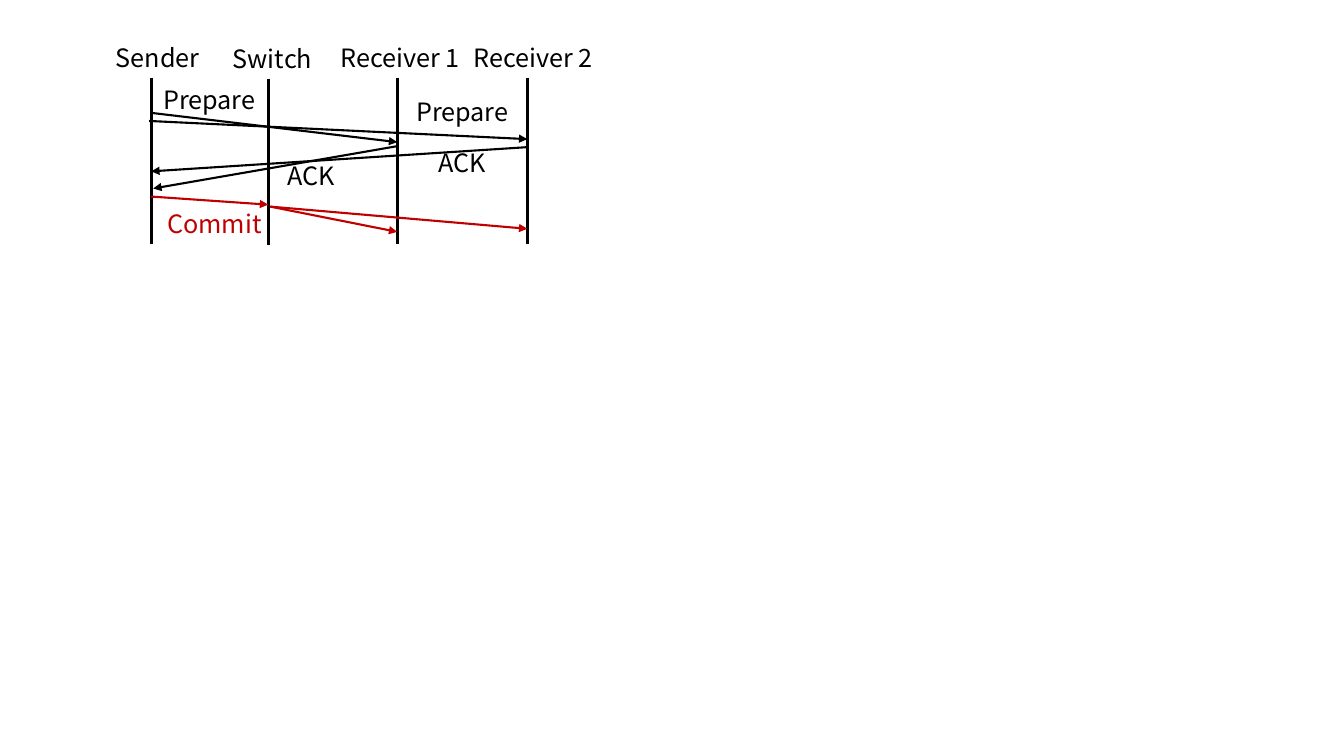
from lxml import etree
from pptx import Presentation
from pptx.dml.color import RGBColor
from pptx.enum.shapes import MSO_CONNECTOR
from pptx.enum.text import MSO_AUTO_SIZE
from pptx.oxml.ns import qn
from pptx.util import Inches, Pt

STRAIGHT = MSO_CONNECTOR.STRAIGHT
FIT_TEXT = MSO_AUTO_SIZE.SHAPE_TO_FIT_TEXT
FONT = "Noto Sans CJK SC"
BLACK = "000000"
RED = "C00000"
LIFELINE_LENGTH = 1.65
LABEL_HEIGHT = 0.4

PARTICIPANTS = [
    ("Sender", 1.05, 1.5, 0.77),
    ("Receiver 1", 3.28, 3.94, 0.77),
    ("Receiver 2", 4.6, 5.23, 0.77),
    ("Switch", 2.21, 2.66, 0.78),
]
MESSAGES = [
    ((1.5, 1.12), (3.94, 1.41), BLACK),
    ((1.48, 1.2), (5.23, 1.38), BLACK),
    ((3.94, 1.45), (1.52, 1.87), BLACK),
    ((5.23, 1.46), (1.5, 1.7), BLACK),
    ((1.5, 1.95), (2.66, 2.03), RED),
    ((2.68, 2.05), (3.94, 2.3), RED),
    ((2.68, 2.05), (5.23, 2.27), RED),
]
MESSAGE_LABELS = [
    ("Prepare", 4.03, 0.91, BLACK),
    ("Prepare", 1.52, 0.79, BLACK),
    ("ACK", 2.75, 1.54, BLACK),
    ("ACK", 4.25, 1.41, BLACK),
    ("Commit", 1.56, 2.02, RED),
]


def rgb(color):
    return RGBColor.from_string(color)


def add_line(slide, start, end, color, weight):
    points = [Inches(value) for value in (*start, *end)]
    line = slide.shapes.add_connector(STRAIGHT, *points)
    line.line.color.rgb = rgb(color)
    line.line.width = Pt(weight)
    etree.SubElement(line._element.spPr, qn("a:effectLst"))
    return line


def add_message(slide, start, end, color):
    message = add_line(slide, start, end, color, 1.5)
    outline = message.line._get_or_add_ln()
    etree.SubElement(outline, qn("a:tailEnd"), type="triangle")


def add_label(slide, text, left, top, width, color):
    label = slide.shapes.add_textbox(
        Inches(left), Inches(top), Inches(width), Inches(LABEL_HEIGHT))
    frame = label.text_frame
    frame.word_wrap = True
    frame.auto_size = FIT_TEXT
    frame.text = text
    font = frame.paragraphs[0].runs[0].font
    font.name = FONT
    font.size = Pt(18)
    font.color.rgb = rgb(color)


def add_participant(slide, name, label_left, x, top):
    add_line(slide, (x, top), (x, top + LIFELINE_LENGTH), BLACK, 2.25)
    add_label(slide, name, label_left, top - LABEL_HEIGHT, 1.48, BLACK)


def main():
    deck = Presentation()
    deck.slide_width = Inches(13.33)
    deck.slide_height = Inches(7.5)
    slide = deck.slides.add_slide(deck.slide_layouts[6])
    for participant in PARTICIPANTS:
        add_participant(slide, *participant)
    for message in MESSAGES:
        add_message(slide, *message)
    for text, left, top, color in MESSAGE_LABELS:
        add_label(slide, text, left, top, 1.4, color)
    deck.save("out.pptx")


main()
